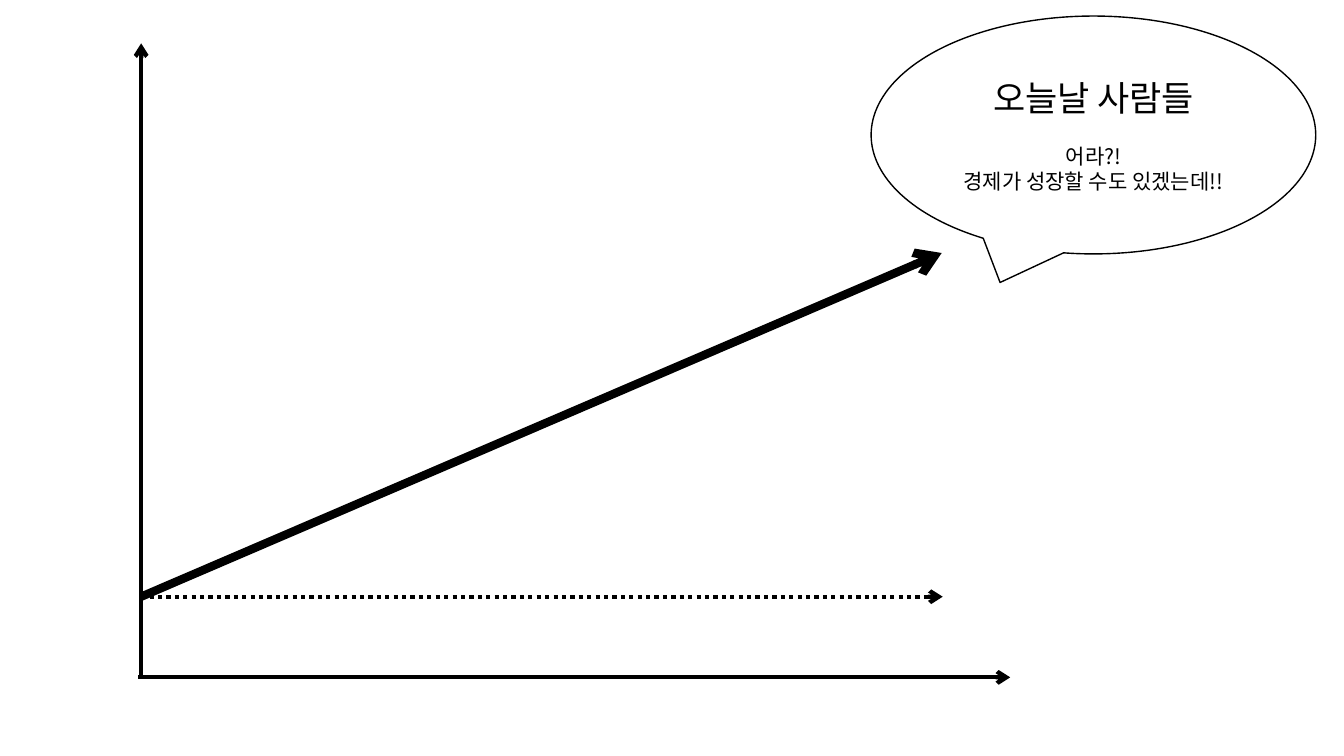
"""Builds a slide contrasting a flat and a growing economy."""
from lxml import etree
from pptx import Presentation
from pptx import util as u
from pptx.dml.color import RGBColor
from pptx.enum import dml, shapes, text
from pptx.oxml import ns

COLORS = {"ink": "000000"}
FONT = "Noto Sans CJK KR"
ORIGIN_X, BASE_Y, START_Y = 1.4, 6.72, 5.92


def add_arrow(container, start, end, width, dash=None):
    """Draw an arrow from start to end, both in inches."""
    points = [u.Inches(value) for value in (*start, *end)]
    arrow = container.add_connector(shapes.MSO_CONNECTOR.STRAIGHT, *points)
    arrow.line.color.rgb = RGBColor.from_string(COLORS["ink"])
    arrow.line.width = u.Pt(width)
    if dash:
        arrow.line.dash_style = dash
    properties = arrow.element.spPr
    line = properties.find(ns.qn("a:ln"))
    etree.SubElement(line, ns.qn("a:tailEnd"), type="arrow")
    etree.SubElement(properties, ns.qn("a:effectLst"))
    return arrow


def add_line_of_text(paragraph, content, size, space_before=0):
    """Fill a centred paragraph with one run."""
    paragraph.alignment = text.PP_ALIGN.CENTER
    if space_before:
        paragraph.space_before = u.Pt(space_before)
    run = paragraph.add_run()
    run.text = content
    run.font.size = u.Pt(size)
    run.font.name = FONT
    run.font.color.rgb = RGBColor.from_string(COLORS["ink"])
    etree.SubElement(run.font._element, ns.qn("a:ea"), typeface=FONT)


def add_speech_bubble(slide, box, tail, lines):
    """Add an oval callout; tail is its offset from the centre as size shares."""
    bubble = slide.shapes.add_shape(
        shapes.MSO_SHAPE.OVAL_CALLOUT, *[u.Inches(value) for value in box])
    bubble.shadow.inherit = False
    bubble.fill.background()
    bubble.line.color.rgb = RGBColor.from_string(COLORS["ink"])
    bubble.line.width = u.Pt(1)
    for index, offset in enumerate(tail):
        bubble.adjustments[index] = offset
    frame = bubble.text_frame
    frame.word_wrap = True
    frame.vertical_anchor = text.MSO_ANCHOR.MIDDLE
    for index, line in enumerate(lines):
        paragraph = frame.add_paragraph() if index else frame.paragraphs[0]
        add_line_of_text(paragraph, *line)


def main():
    """Build and save the slide."""
    presentation = Presentation()
    presentation.slide_width = u.Inches(13.33)
    presentation.slide_height = u.Inches(7.5)
    slide = presentation.slides.add_slide(presentation.slide_layouts[6])

    axes = slide.shapes.add_group_shape()
    add_arrow(axes.shapes, (ORIGIN_X, BASE_Y), (ORIGIN_X, 0.43), 3)
    add_arrow(axes.shapes, (1.37, BASE_Y), (10.02, BASE_Y), 3)

    start = (ORIGIN_X, START_Y)
    add_arrow(slide.shapes, start, (9.34, 2.51), 6)
    add_speech_bubble(slide, (8.64, 0.16, 4.41, 2.36), (-0.21, 0.62), [
        ("오늘날 사람들", 25),
        ("어라?!", 15, 18),
        ("경제가 성장할 수도 있겠는데!!", 15),
    ])
    add_arrow(slide.shapes, start, (9.35, START_Y), 3,
              dml.MSO_LINE.ROUND_DOT)
    presentation.save("out.pptx")


if __name__ == "__main__":
    main()
